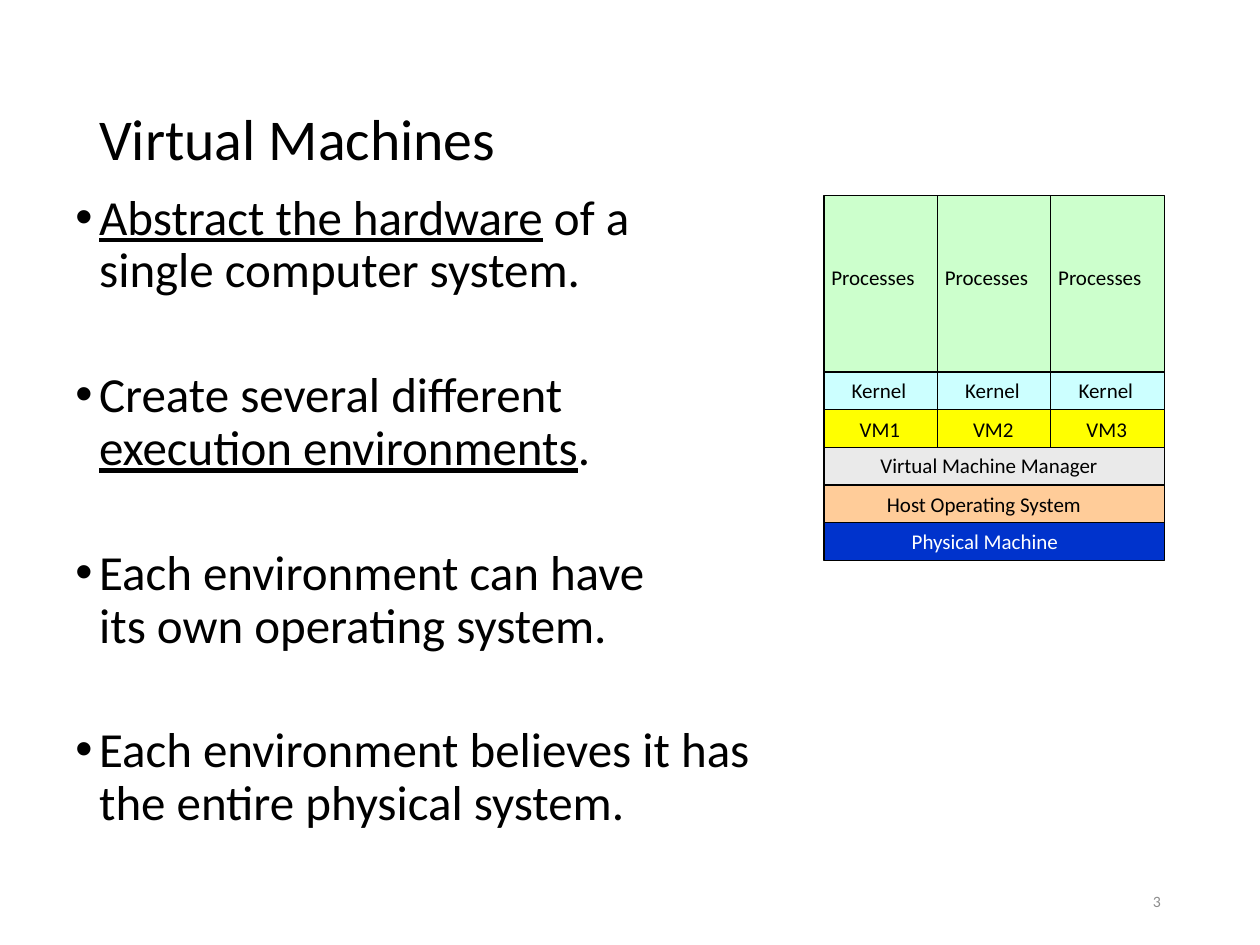
"""Build the Virtual Machines slide with its layered system diagram."""
import pptx
import pptx.dml.color
import pptx.enum.shapes
import pptx.enum.text
import pptx.oxml
import pptx.oxml.ns
import pptx.util

Cm = pptx.util.Cm
Pt = pptx.util.Pt
RGBColor = pptx.dml.color.RGBColor
Anchor = pptx.enum.text.MSO_ANCHOR
Align = pptx.enum.text.PP_ALIGN

BLACK = RGBColor(0x00, 0x00, 0x00)
WHITE = RGBColor(0xFF, 0xFF, 0xFF)
GREY = RGBColor(0x8C, 0x8C, 0x8C)
GREEN = RGBColor(0xCC, 0xFF, 0xCC)
CYAN = RGBColor(0xCC, 0xFF, 0xFF)
YELLOW = RGBColor(0xFF, 0xFF, 0x00)
SILVER = RGBColor(0xEA, 0xEA, 0xEA)
ORANGE = RGBColor(0xFF, 0xCC, 0x99)
BLUE = RGBColor(0x00, 0x33, 0xCC)

BULLETS = [
    [[("Abstract the hardware", True), (" of a ", False)],
     [("single computer system.", False)]],
    [[("Create several different ", False)],
     [("execution environments", True), (".", False)]],
    [[("Each environment can have ", False)],
     [("its own operating system.", False)]],
    [[("Each environment believes it has ", False)],
     [("the entire physical system.", False)]],
]

STACK_LEFT, STACK_TOP, STACK_WIDTH = 16.61, 3.94, 6.86
ROW_HEIGHT = 0.76
LAYERS = [
    (["Processes"] * 3, 3.56, GREEN, BLACK, (-0.1, 1.27), 2.49),
    (["Kernel"] * 3, ROW_HEIGHT, CYAN, BLACK, (0.31, -0.02), 1.73),
    (["VM1", "VM2", "VM3"], ROW_HEIGHT, YELLOW, BLACK, (0.47, 0.02), 1.37),
    (["Virtual Machine Manager"], ROW_HEIGHT, SILVER, BLACK, (0.89, -0.02), 5.21),
    (["Host Operating System"], ROW_HEIGHT, ORANGE, BLACK, (1.02, 0), 4.88),
    (["Physical Machine"], ROW_HEIGHT, BLUE, WHITE, (1.52, 0), 3.78),
]


class SlideBuilder:
    """Hold the text style and the current slide, and add elements to it."""

    def __init__(self, slide, font_name="Calibri"):
        self.slide = slide
        self.font_name = font_name

    def add_run(self, paragraph, text, size, color=BLACK, underline=False):
        run = paragraph.add_run()
        run.text = text
        font_format = {"name": self.font_name, "size": Pt(size), "underline": underline}
        for attribute, value in font_format.items():
            setattr(run.font, attribute, value)
        run.font.color.rgb = color

    def add_frame(self, box, **frame_format):
        text_box = self.slide.shapes.add_textbox(*map(Cm, box))
        for attribute, value in {"word_wrap": True, **frame_format}.items():
            setattr(text_box.text_frame, attribute, value)
        return text_box.text_frame

    def add_text(self, text, box, size, color=BLACK, paragraph_format=None, **frame_format):
        paragraph = self.add_frame(box, **frame_format).paragraphs[0]
        for attribute, value in (paragraph_format or {}).items():
            setattr(paragraph, attribute, value)
        self.add_run(paragraph, text, size, color)

    def add_bullets(self, bullets, box, size, gap):
        text_frame = self.add_frame(box)
        for index, lines in enumerate(bullets):
            paragraph = text_frame.add_paragraph() if index else text_frame.paragraphs[0]
            paragraph.line_spacing = 0.9
            paragraph.space_before = Pt(gap if index else 7.5)
            properties = paragraph._p.get_or_add_pPr()
            properties.set("marL", str(Cm(0.48)))
            properties.set("indent", str(Cm(-0.48)))
            namespaces = pptx.oxml.ns.nsdecls("a")
            for bullet in ('buFont typeface="Arial"', 'buChar char="•"'):
                properties.append(pptx.oxml.parse_xml(f"<a:{bullet} {namespaces}/>"))
            for number, line in enumerate(lines):
                if number:
                    paragraph.add_line_break()
                for text, underline in line:
                    self.add_run(paragraph, text, size, underline=underline)

    def add_block(self, box, fill):
        shape = self.slide.shapes.add_shape(
            pptx.enum.shapes.MSO_SHAPE.RECTANGLE, *map(Cm, box))
        shape.shadow.inherit = False
        shape.fill.solid()
        shape.fill.fore_color.rgb = fill
        shape.line.color.rgb = BLACK
        shape.line.width = Pt(0.75)

    def add_stack(self, layers):
        top = STACK_TOP
        for labels, height, fill, color, (shift, drop), label_width in layers:
            width = STACK_WIDTH / len(labels)
            for column, label in enumerate(labels):
                left = STACK_LEFT + column * width
                self.add_block((left, top, width, height), fill)
                self.add_text(label, (left + shift, top + drop, label_width, ROW_HEIGHT),
                              12, color, word_wrap=False)
            top += height


def main():
    presentation = pptx.Presentation()
    presentation.slide_width = Cm(25.4)
    presentation.slide_height = Cm(19.05)
    builder = SlideBuilder(presentation.slides.add_slide(presentation.slide_layouts[6]))
    builder.add_text("Virtual Machines", (1.75, 1.02, 21.9, 3.68), 33,
                     paragraph_format={"line_spacing": 0.9},
                     vertical_anchor=Anchor.MIDDLE)
    builder.add_bullets(BULLETS, (1.27, 3.76, 22.86, 13.54), 28, 41)
    builder.add_text("3", (17.93, 17.65, 5.72, 1.02), 9, GREY,
                     paragraph_format={"alignment": Align.RIGHT},
                     vertical_anchor=Anchor.MIDDLE)
    builder.add_stack(LAYERS)
    presentation.save("out.pptx")


if __name__ == "__main__":
    main()
